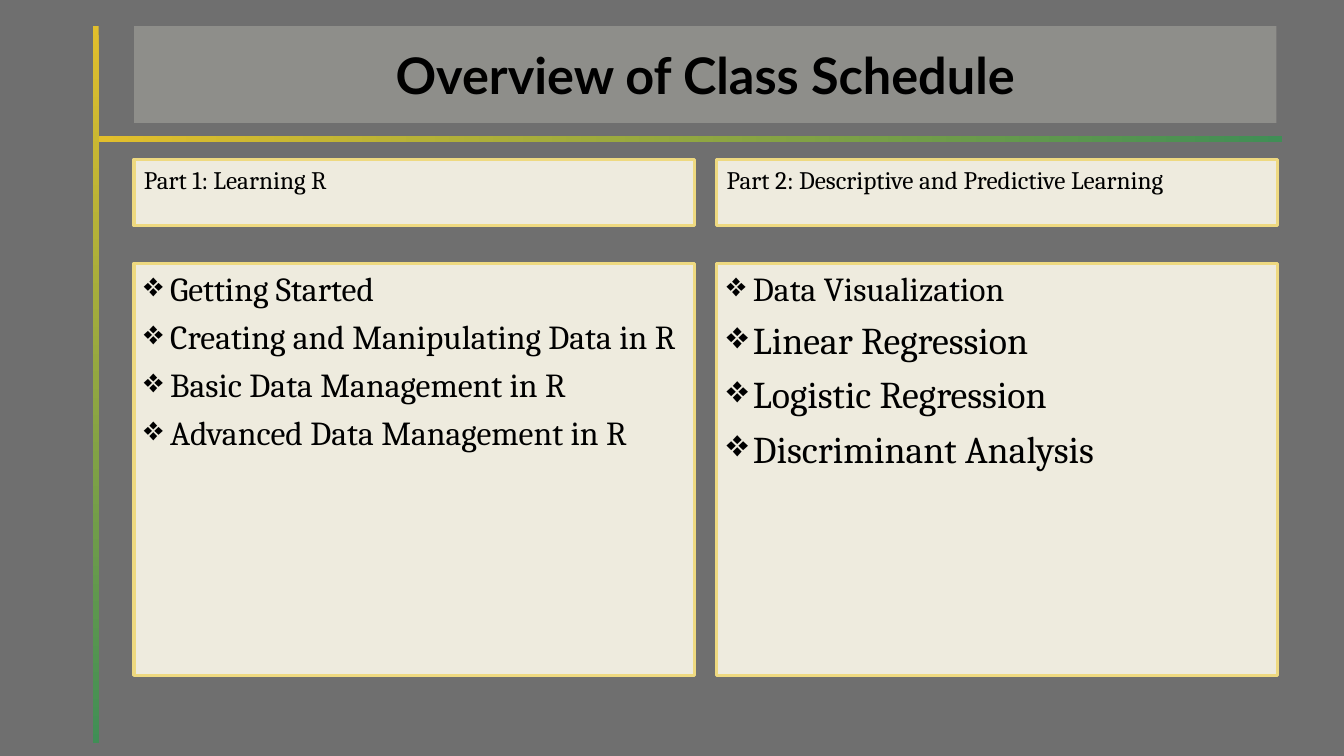
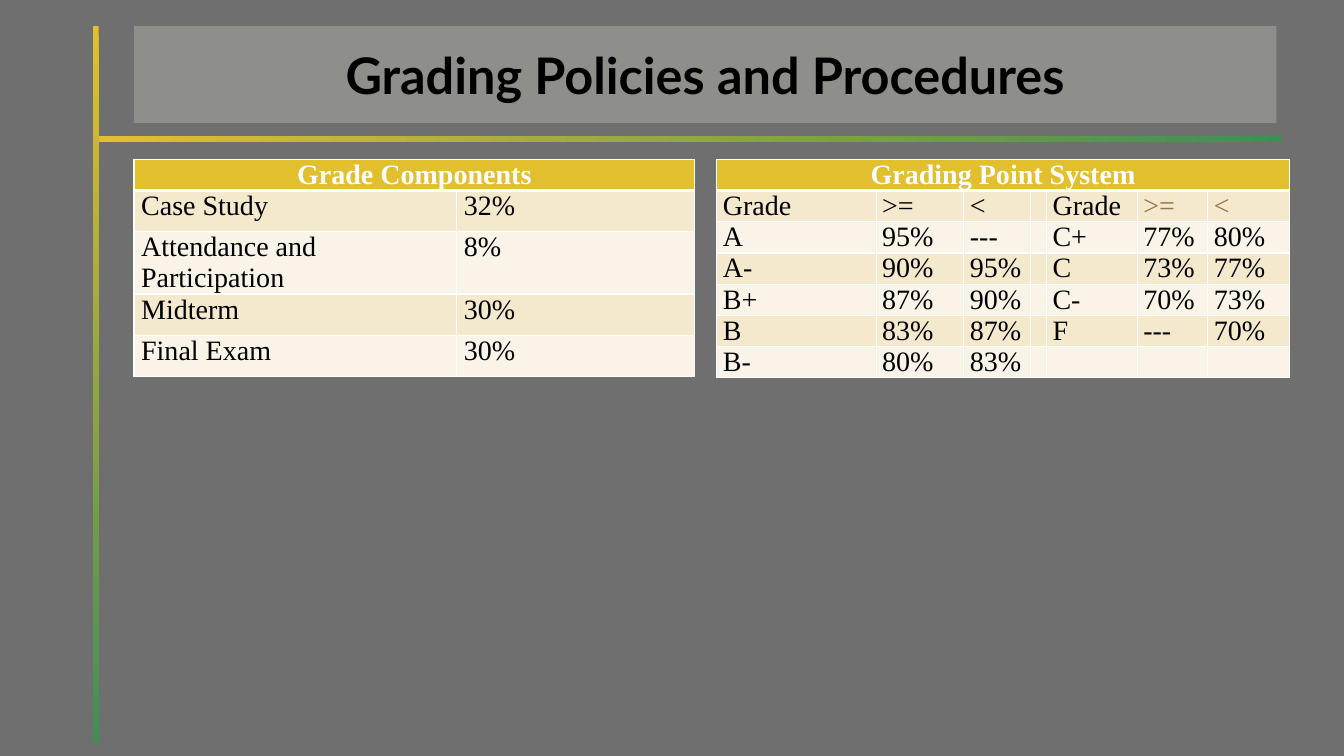
from lxml.etree import SubElement
from pptx import Presentation
from pptx.dml.color import RGBColor
from pptx.enum.shapes import MSO_SHAPE
from pptx.enum.text import MSO_ANCHOR, PP_ALIGN
from pptx.oxml.ns import qn
from pptx.util import Inches, Pt

BACKGROUND = RGBColor(0x6F, 0x6F, 0x6F)
GOLD = RGBColor(0xE2, 0xBF, 0x2C)
GREEN = RGBColor(0x40, 0x8E, 0x56)
CREAM = RGBColor(0xEE, 0xEB, 0xDE)
PANEL_EDGE = RGBColor(0xEE, 0xD9, 0x80)
ROW_DARK = RGBColor(0xF4, 0xE8, 0xCD)
ROW_LIGHT = RGBColor(0xFA, 0xF4, 0xE8)
BROWN = RGBColor(0x92, 0x73, 0x4A)
BLACK = RGBColor(0, 0, 0)
WHITE = RGBColor(0xFF, 0xFF, 0xFF)

TITLE_FONT = "Lato"
BODY_FONT = "Cambria"
TABLE_FONT = "Times New Roman"

LEFT = 1.33
COLUMN_WIDTH = 5.56
COLUMNS = (LEFT, 7.11)
CONTENT_TOP = 1.58


class Deck:
    def __init__(self):
        self.presentation = Presentation()
        self.presentation.slide_width = Inches(13.33)
        self.presentation.slide_height = Inches(7.5)
        self.slide = None

    def add_slide(self, title):
        self.slide = self.presentation.slides.add_slide(self.presentation.slide_layouts[6])
        fill = self.slide.background.fill
        fill.solid()
        fill.fore_color.rgb = BACKGROUND
        self.gradient_bar(0.92, 0.26, 0.06, 7.11, 270)
        self.gradient_bar(0.98, 1.35, 11.74, 0.06, 0)
        self.title(title)

    def rectangle(self, left, top, width, height):
        shape = self.slide.shapes.add_shape(
            MSO_SHAPE.RECTANGLE, Inches(left), Inches(top), Inches(width), Inches(height)
        )
        shape.shadow.inherit = False
        shape.line.fill.background()
        return shape

    def gradient_bar(self, left, top, width, height, angle):
        fill = self.rectangle(left, top, width, height).fill
        fill.gradient()
        fill.gradient_angle = angle
        for stop, color, position in zip(fill.gradient_stops, (GOLD, GREEN), (0, 1)):
            stop.color.rgb = color
            stop.position = position

    def style(self, paragraph, font, size, color, bold=False):
        for run in paragraph.runs:
            run.font.name = font
            run.font.size = Pt(size)
            run.font.bold = bold
            run.font.color.rgb = color

    def title(self, text):
        shape = self.rectangle(LEFT, 0.26, 11.33, 0.96)
        shape.fill.solid()
        shape.fill.fore_color.rgb = CREAM
        color = shape.fill._xPr.find(qn("a:solidFill"))[0]
        SubElement(color, qn("a:alpha"), val="25000")
        frame = shape.text_frame
        frame.text = text
        frame.vertical_anchor = MSO_ANCHOR.MIDDLE
        paragraph = frame.paragraphs[0]
        paragraph.alignment = PP_ALIGN.CENTER
        self.style(paragraph, TITLE_FONT, 36, BLACK, bold=True)

    def panel(self, left, top, height, lines, bulleted=False):
        shape = self.rectangle(left, top, COLUMN_WIDTH, height)
        shape.fill.solid()
        shape.fill.fore_color.rgb = CREAM
        shape.line.color.rgb = PANEL_EDGE
        shape.line.width = Pt(2.25)
        frame = shape.text_frame
        frame.text = "\n".join(text for text, size in lines)
        frame.word_wrap = True
        frame.vertical_anchor = MSO_ANCHOR.TOP
        for index, (paragraph, (text, size)) in enumerate(zip(frame.paragraphs, lines)):
            paragraph.alignment = PP_ALIGN.LEFT
            if index:
                paragraph.space_before = Pt(size * 0.23)
            if bulleted:
                self.bullet(paragraph)
            self.style(paragraph, BODY_FONT, size, BLACK)

    def bullet(self, paragraph):
        properties = paragraph._p.get_or_add_pPr()
        properties.set("marL", str(Inches(0.26)))
        properties.set("indent", str(-Inches(0.26)))
        SubElement(properties, qn("a:buChar"), char="❖")

    def table(self, left, title, rows, widths, heights, inset, muted=()):
        cells = [[title] + [""] * (len(widths) - 1)] + rows
        table = self.slide.shapes.add_table(
            len(cells), len(widths), Inches(left), Inches(CONTENT_TOP),
            Inches(sum(widths)), Inches(sum(heights)),
        ).table
        for column, width in zip(table.columns, widths):
            column.width = Inches(width)
        for row, height in zip(table.rows, heights):
            row.height = Inches(height)
        for row_index, texts in enumerate(cells):
            for column_index, text in enumerate(texts):
                cell = table.cell(row_index, column_index)
                color = BROWN if (row_index, column_index) in muted else BLACK
                self.table_cell(cell, text, row_index, color, inset)
        table.cell(0, 0).merge(table.cell(0, len(widths) - 1))

    def table_cell(self, cell, text, row_index, color, inset):
        header = row_index == 0
        cell.margin_left = cell.margin_right = Inches(inset)
        cell.margin_top = cell.margin_bottom = 0
        self.borders(cell, top=3 if row_index == 1 else 1, bottom=3 if header else 1)
        cell.fill.solid()
        cell.fill.fore_color.rgb = GOLD if header else (ROW_LIGHT, ROW_DARK)[row_index % 2]
        cell.text_frame.text = text
        paragraph = cell.text_frame.paragraphs[0]
        paragraph.alignment = PP_ALIGN.CENTER if header else PP_ALIGN.LEFT
        self.style(paragraph, TABLE_FONT, 20, WHITE if header else color, bold=header)

    def borders(self, cell, top, bottom):
        properties = cell._tc.get_or_add_tcPr()
        for side, points in (("L", 1), ("R", 1), ("T", top), ("B", bottom)):
            line = SubElement(properties, qn(f"a:ln{side}"), w=str(Pt(points)))
            fill = SubElement(line, qn("a:solidFill"))
            SubElement(fill, qn("a:srgbClr"), val=str(WHITE))


def schedule_slide(deck):
    deck.add_slide("Overview of Class Schedule")
    parts = (
        ("Part 1: Learning R", [
            ("Getting Started", 24),
            ("Creating and Manipulating Data in R", 24),
            ("Basic Data Management in R", 24),
            ("Advanced Data Management in R", 24),
        ]),
        ("Part 2: Descriptive and Predictive Learning", [
            ("Data Visualization", 24),
            ("Linear Regression", 27),
            ("Logistic Regression", 27),
            ("Discriminant Analysis", 27),
        ]),
    )
    for left, (heading, topics) in zip(COLUMNS, parts):
        deck.panel(left, 2.61, 4.09, topics, bulleted=True)
        deck.panel(left, CONTENT_TOP, 0.66, [(heading, 18)])


def grading_slide(deck):
    deck.add_slide("Grading Policies and Procedures")
    components = [
        ["Case Study", "32%"],
        ["Attendance and Participation", "8%"],
        ["Midterm", "30%"],
        ["Final Exam", "30%"],
    ]
    deck.table(COLUMNS[0], "Grade Components", components,
               widths=[3.2, 2.36], heights=[0.31, 0.41, 0.61, 0.41, 0.41], inset=0.07)
    grades = [
        ["Grade", ">=", "<", "", "Grade", ">=", "<"],
        ["A", "95%", "---", "", "C+", "77%", "80%"],
        ["A-", "90%", "95%", "", "C", "73%", "77%"],
        ["B+", "87%", "90%", "", "C-", "70%", "73%"],
        ["B", "83%", "87%", "", "F", "---", "70%"],
        ["B-", "80%", "83%", "", "", "", ""],
    ]
    deck.table(COLUMNS[1], "Grading Point System", grades,
               widths=[1.58, 0.87, 0.66, 0.16, 0.9, 0.7, 0.81], heights=[0.31] * 7,
               inset=0.06, muted={(1, 5), (1, 6)})


def main():
    deck = Deck()
    schedule_slide(deck)
    grading_slide(deck)
    deck.presentation.save("out.pptx")


if __name__ == "__main__":
    main()
